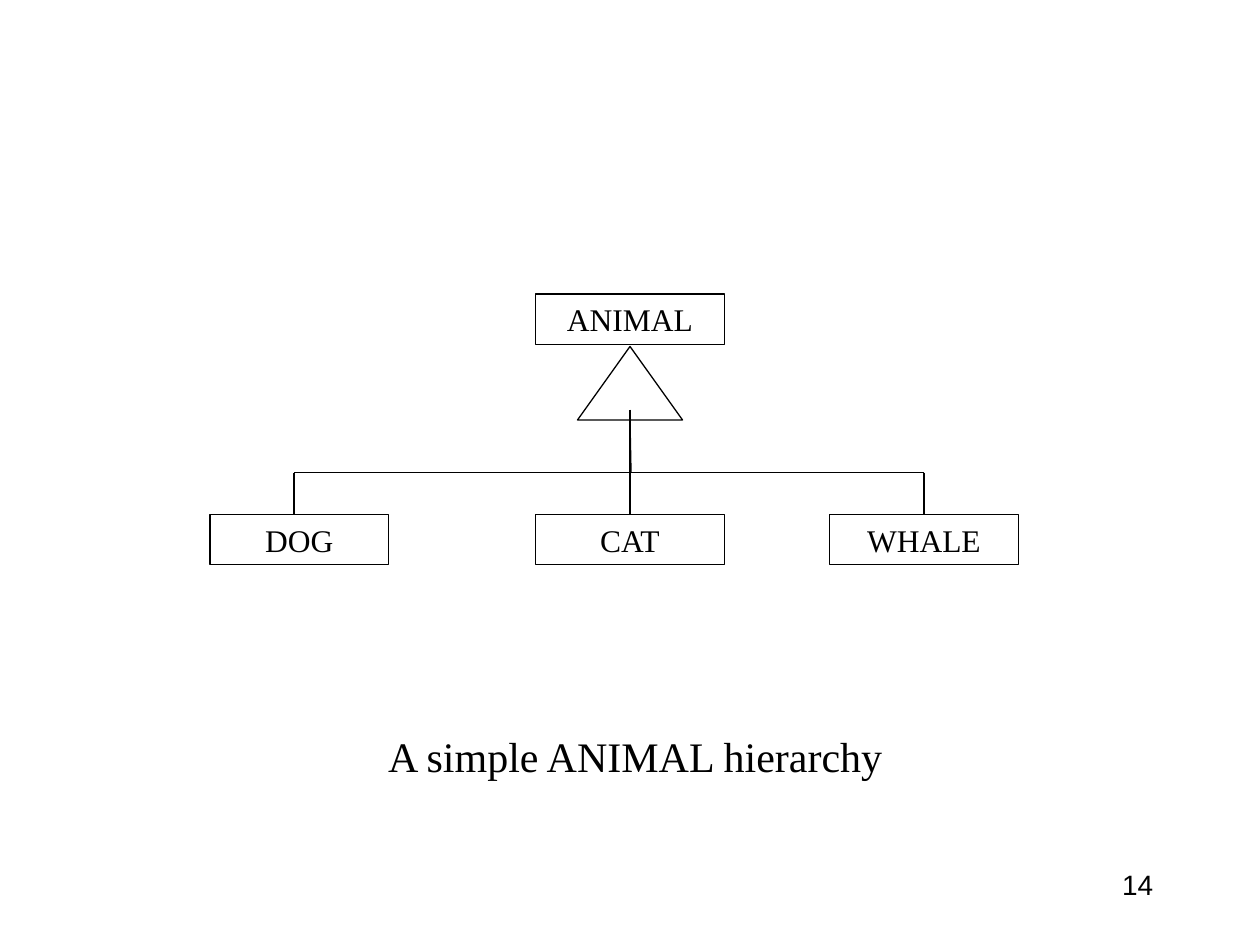
from dataclasses import dataclass

from lxml import etree
from pptx import Presentation
from pptx.dml.color import RGBColor
from pptx.enum.shapes import MSO_CONNECTOR, MSO_SHAPE
from pptx.enum.text import MSO_ANCHOR, PP_ALIGN
from pptx.oxml.ns import qn
from pptx.util import Inches, Pt

STRAIGHT = MSO_CONNECTOR.STRAIGHT
RECTANGLE = MSO_SHAPE.RECTANGLE
TRIANGLE = MSO_SHAPE.ISOSCELES_TRIANGLE
TOP = MSO_ANCHOR.TOP
CENTER = PP_ALIGN.CENTER
RIGHT = PP_ALIGN.RIGHT

SLIDE_WIDTH = Inches(10)
SLIDE_HEIGHT = Inches(7.5)
COLUMNS = 120
ROWS = 90


@dataclass(frozen=True)
class Theme:
    ink: RGBColor = RGBColor(0, 0, 0)
    paper: RGBColor = RGBColor(255, 255, 255)
    serif: str = "Times New Roman"
    sans: str = "Arial"
    class_size: int = 18
    caption_size: int = 24
    number_size: int = 16
    line_width: float = 0.75


@dataclass(frozen=True)
class Area:
    column: float
    row: float
    columns: float
    rows: float

    def place(self) -> tuple[int, int, int, int]:
        return (across(self.column), down(self.row),
                across(self.columns), down(self.rows))


@dataclass(frozen=True)
class AnimalClass:
    name: str
    column: float
    row: float
    columns: float = 18


@dataclass(frozen=True)
class Link:
    start: tuple[float, float]
    end: tuple[float, float]


@dataclass(frozen=True)
class Label:
    text: str
    area: Area
    font: str
    size: int
    alignment: PP_ALIGN


THEME = Theme()
PARENT_ROW, BRANCH_ROW, CHILD_ROW = 28, 45, 49
CLASS_ROWS = 4.8
TRUNK = 60
BRANCHES = (28, TRUNK, 88)
CLASSES = (
    AnimalClass("ANIMAL", 51, PARENT_ROW),
    AnimalClass("DOG", 20, CHILD_ROW, 17),
    AnimalClass("CAT", 51, CHILD_ROW),
    AnimalClass("WHALE", 79, CHILD_ROW),
)
INHERITANCE = Area(55, 33, 10, 7)
LINKS = (
    Link((TRUNK, 40), (TRUNK + 0.1, BRANCH_ROW)),
    Link((TRUNK, 39), (TRUNK, BRANCH_ROW)),
    Link((BRANCHES[0], BRANCH_ROW), (BRANCHES[-1], BRANCH_ROW)),
    *(Link((column, BRANCH_ROW), (column, CHILD_ROW)) for column in BRANCHES),
)
LABELS = (
    Label("A simple ANIMAL hierarchy", Area(13, 69, 95, 6),
          THEME.serif, THEME.caption_size, CENTER),
    Label("14", Area(86, 82, 25, 6), THEME.sans, THEME.number_size, RIGHT),
)


def across(columns: float) -> int:
    return round(SLIDE_WIDTH * columns / COLUMNS)


def down(rows: float) -> int:
    return round(SLIDE_HEIGHT * rows / ROWS)


def apply(target, values: dict) -> None:
    for attribute, value in values.items():
        setattr(target, attribute, value)


def write(frame, text: str, font: str, size: int, alignment: PP_ALIGN) -> None:
    apply(frame, {
        "word_wrap": True, "vertical_anchor": TOP,
        "margin_left": Inches(0.1), "margin_right": Inches(0.1),
        "margin_top": Inches(0.05), "margin_bottom": Inches(0.05),
    })
    paragraph = frame.paragraphs[0]
    paragraph.alignment = alignment
    run = paragraph.add_run()
    run.text = text
    apply(run.font, {"name": font, "size": Pt(size)})
    run.font.color.rgb = THEME.ink


def outline(line) -> None:
    line.color.rgb = THEME.ink
    line.width = Pt(THEME.line_width)


def draw_outline_shape(slide, kind: MSO_SHAPE, area: Area):
    shape = slide.shapes.add_shape(kind, *area.place())
    shape.shadow.inherit = False
    outline(shape.line)
    return shape


def draw_inheritance(slide, area: Area) -> None:
    triangle = draw_outline_shape(slide, TRIANGLE, area)
    triangle.fill.solid()
    triangle.fill.fore_color.rgb = THEME.paper


def draw_class(slide, animal: AnimalClass) -> None:
    area = Area(animal.column, animal.row, animal.columns, CLASS_ROWS)
    box = draw_outline_shape(slide, RECTANGLE, area)
    box.fill.background()
    write(box.text_frame, animal.name, THEME.serif, THEME.class_size, CENTER)


def draw_link(slide, link: Link) -> None:
    connector = slide.shapes.add_connector(
        STRAIGHT, across(link.start[0]), down(link.start[1]),
        across(link.end[0]), down(link.end[1]))
    outline(connector.line)
    etree.SubElement(connector._element.spPr, qn("a:effectLst"))


def draw_label(slide, label: Label) -> None:
    box = slide.shapes.add_textbox(*label.area.place())
    write(box.text_frame, label.text, label.font, label.size, label.alignment)


def main() -> None:
    presentation = Presentation()
    apply(presentation, {"slide_width": SLIDE_WIDTH, "slide_height": SLIDE_HEIGHT})
    slide = presentation.slides.add_slide(presentation.slide_layouts[6])
    draw_inheritance(slide, INHERITANCE)
    for animal in CLASSES:
        draw_class(slide, animal)
    for link in LINKS:
        draw_link(slide, link)
    for label in LABELS:
        draw_label(slide, label)
    presentation.save("out.pptx")


if __name__ == "__main__":
    main()
